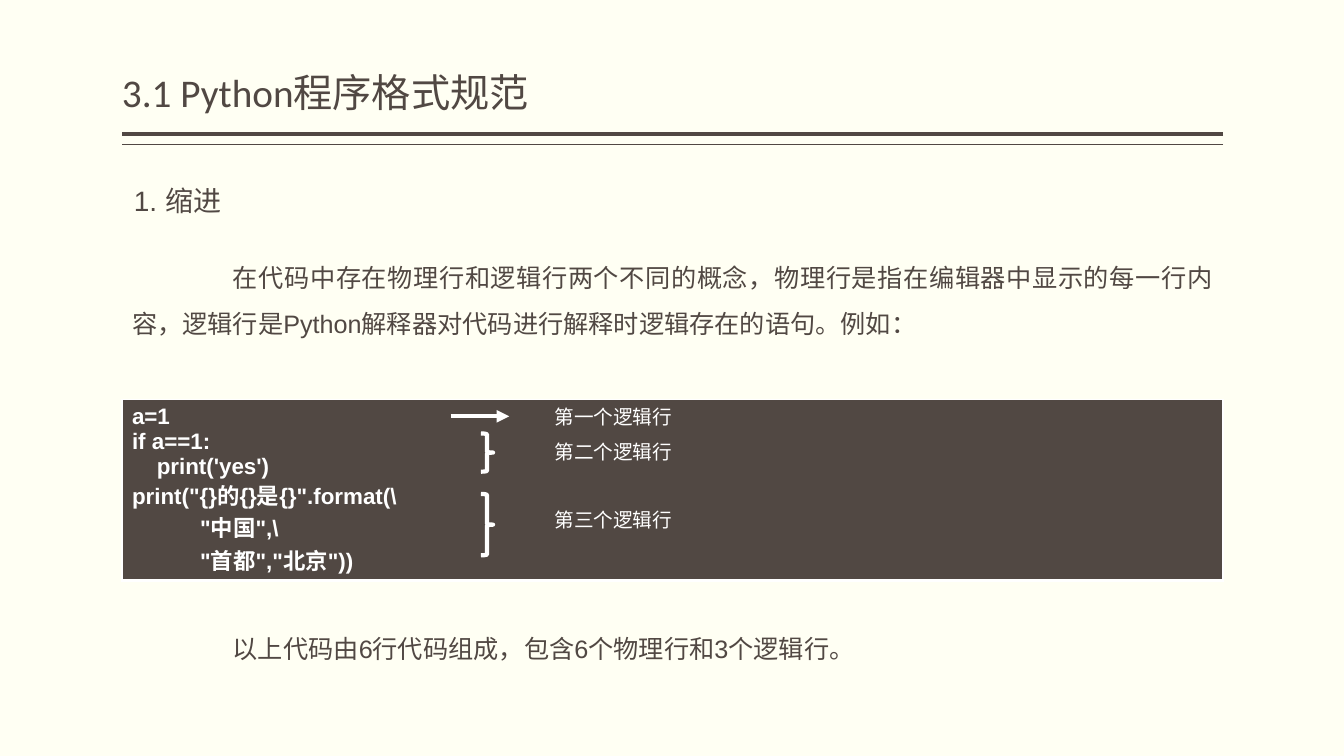
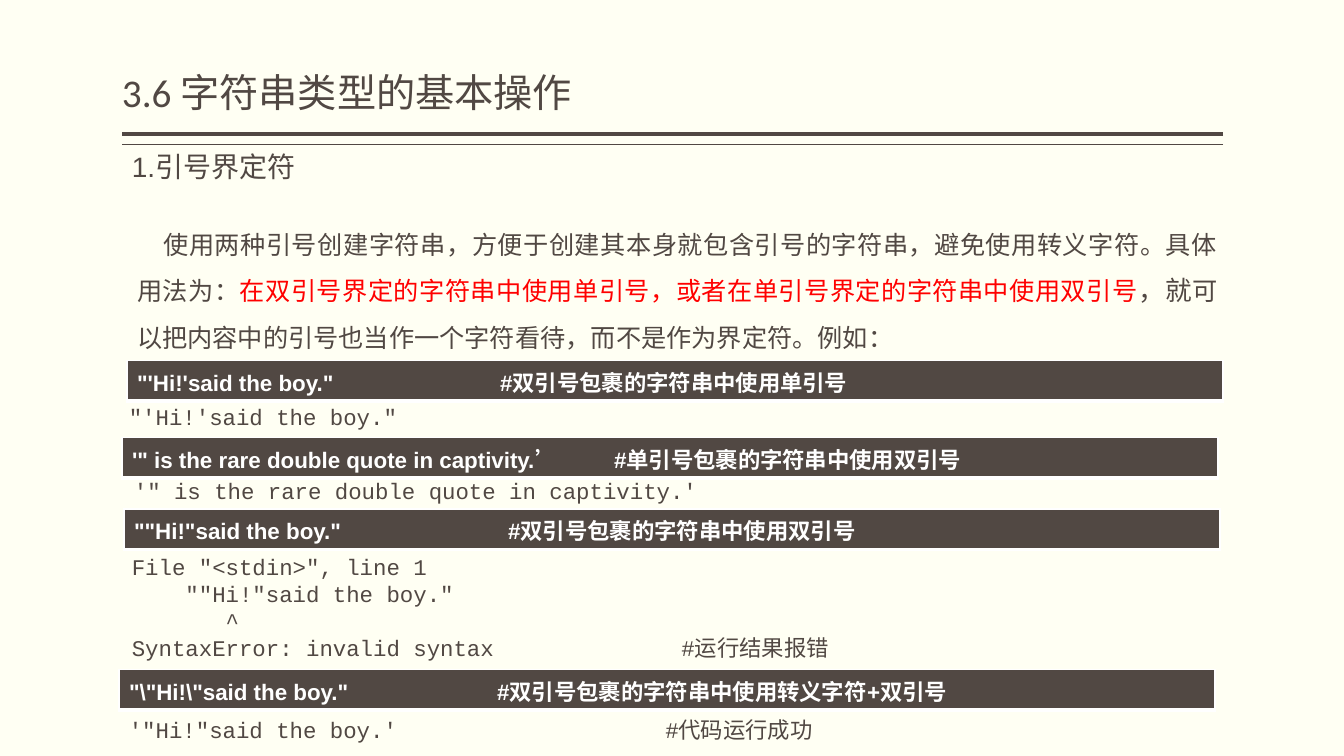
from lxml.etree import SubElement
from pptx import Presentation
from pptx.dml.color import RGBColor
from pptx.enum.shapes import MSO_CONNECTOR, MSO_SHAPE
from pptx.enum.text import MSO_ANCHOR, MSO_AUTO_SIZE, PP_ALIGN
from pptx.oxml.ns import qn
from pptx.util import Inches, Pt

BROWN = RGBColor(0x51, 0x48, 0x43)
CREAM = RGBColor(0xFF, 0xFF, 0xF3)
WHITE = RGBColor(0xFF, 0xFF, 0xFF)
RED = RGBColor(0xFF, 0x00, 0x00)
CJK = "Noto Sans CJK SC"
LEFT, WIDTH = 1.21, 10.92

# Format values: run formats, then paragraph formats
TITLE = {"size": Pt(28), "name": "Calibri", "color": BROWN}
HEADING = {"size": Pt(20), "name": "Arial", "color": BROWN}
PROSE = {"size": Pt(18), "name": "Arial", "color": BROWN}
CODE = {"size": Pt(16), "name": "Arial", "color": WHITE, "bold": True}
OUTPUT = {"size": Pt(16), "name": "Courier New", "color": BROWN}
LABEL = {"size": Pt(14), "name": CJK, "color": WHITE}
TITLE_LINE = {"alignment": PP_ALIGN.LEFT, "line_spacing": 0.9}
PROSE_LINE = {"alignment": PP_ALIGN.JUSTIFY, "line_spacing": Pt(33),
              "space_before": Pt(0)}


def write(frame, lines, run_format, line_format=None, indent=None, tab=None):
    """Fill a frame; a line is a string or a list of (text, changes) runs."""
    frame.word_wrap = True
    for number, line in enumerate(lines):
        paragraph = frame.add_paragraph() if number else frame.paragraphs[0]
        properties = paragraph._p.get_or_add_pPr()
        if indent is not None:
            properties.set("marL", "0")
            properties.set("indent", str(Inches(indent)))
            SubElement(properties, qn("a:buNone"))
        if tab is not None:
            stops = SubElement(properties, qn("a:tabLst"))
            SubElement(stops, qn("a:tab"), pos=str(Inches(tab)), algn="l")
        for key, value in (line_format or {}).items():
            setattr(paragraph, key, value)
        for text, changes in [(line, {})] if isinstance(line, str) else line:
            run = paragraph.add_run()
            run.text = text
            for key, value in {**run_format, **changes}.items():
                if key == "color":
                    run.font.color.rgb = value
                else:
                    setattr(run.font, key, value)
            SubElement(run._r.get_or_add_rPr(), qn("a:ea"), typeface=CJK)


def add_code(slide, left, top, width, height, lines, tab=None):
    """Add a dark one-cell table with white code."""
    table = slide.shapes.add_table(1, 1, Inches(left), Inches(top),
                                   Inches(width), Inches(height)).table
    table.first_row = table.horz_banding = False
    cell = table.cell(0, 0)
    cell.margin_bottom = 0
    write(cell.text_frame, lines, CODE, tab=tab)
    borders = cell._tc.get_or_add_tcPr()
    for side, points in (("L", 1), ("R", 1), ("T", 1), ("B", 3)):
        border = SubElement(borders, qn(f"a:ln{side}"), w=str(Pt(points)))
        border_fill = SubElement(border, qn("a:solidFill"))
        SubElement(border_fill, qn("a:srgbClr"), val=str(WHITE))
    cell.fill.solid()
    cell.fill.fore_color.rgb = BROWN


prs = Presentation()
prs.slide_width, prs.slide_height = Inches(13.33), Inches(7.5)

# Shared master: background and title place
master = prs.slide_master
master.background.fill.solid()
master.background.fill.fore_color.rgb = CREAM
master_title = master.placeholders[0]
for key, value in {"left": LEFT, "top": 0.58, "width": WIDTH, "height": 0.62}.items():
    setattr(master_title, key, Inches(value))
for key, value in {"margin_left": 0, "margin_right": 0,
                   "vertical_anchor": MSO_ANCHOR.BOTTOM,
                   "auto_size": MSO_AUTO_SIZE.NONE}.items():
    setattr(master_title.text_frame, key, value)

# Title, heading and main paragraph of each slide
contents = [
    ("3.1 Python程序格式规范", "1. 缩进", (1.23, 1.77), (1.21, 2.39, 1.19), 1.0,
     ["在代码中存在物理行和逻辑行两个不同的概念，物理行是指在编辑器中显示的每一行内容，"
      "逻辑行是Python解释器对代码进行解释时逻辑存在的语句。例如："]),
    ("3.6 字符串类型的基本操作", "1.引号界定符", (1.21, 1.43), (1.26, 2.07, 1.53), 0.26,
     [[("使用两种引号创建字符串，方便于创建其本身就包含引号的字符串，避免使用转义字符。"
        "具体用法为：", {}),
       ("在双引号界定的字符串中使用单引号，或者在单引号界定的字符串中使用双引号",
        {"color": RED}),
       ("，就", {"size": Pt(19), "name": CJK}),
       ("可以把内容中的引号也当作一个字符看待，而不是作为界定符。例如：", {})]]),
]
slides = []
for title, heading, heading_at, (left, top, height), indent, lines in contents:
    slide = prs.slides.add_slide(prs.slide_layouts[1])
    slides.append(slide)
    write(slide.shapes.title.text_frame, [title], TITLE, TITLE_LINE)
    heading_box = slide.shapes.add_textbox(*map(Inches, heading_at),
                                           Inches(3.06), Inches(0.62))
    write(heading_box.text_frame, [heading], HEADING)
    body = slide.placeholders[1]
    body.left, body.top = Inches(left), Inches(top)
    body.width, body.height = Inches(WIDTH), Inches(height)
    body.text_frame.auto_size = MSO_AUTO_SIZE.NONE
    write(body.text_frame, lines, PROSE, PROSE_LINE, indent)
format_slide, quote_slide = slides

# Double rule under the title, kept on the master
for y, points in ((1.33, 3), (1.43, 0.75)):
    rule = format_slide.shapes.add_connector(
        MSO_CONNECTOR.STRAIGHT, Inches(LEFT + WIDTH), Inches(y), Inches(LEFT), Inches(y))
    rule.line.color.rgb = BROWN
    rule.line.width = Pt(points)
    SubElement(rule._element.spPr, qn("a:effectLst"))
    master.shapes._spTree.append(rule._element)

# Slide 1: code and its logical lines
add_code(format_slide, LEFT, 3.96, WIDTH, 1.8, [
    "a=1",
    "if a==1:",
    "    print('yes')",
    'print("{}的{}是{}".format(\\',
    '           "中国",\\',
    '           "首都","北京"))',
])
summary = format_slide.shapes.add_textbox(Inches(LEFT), Inches(6.08),
                                          Inches(WIDTH), Inches(1.19))
write(summary.text_frame, ["以上代码由6行代码组成，包含6个物理行和3个逻辑行。"],
      PROSE, PROSE_LINE, 1.0)

for top, height in ((4.3, 0.38), (4.9, 0.61)):
    brace = format_slide.shapes.add_shape(MSO_SHAPE.RIGHT_BRACE, Inches(4.77), Inches(top),
                                          Inches(0.12), Inches(height))
    brace.shadow.inherit = False
    brace.fill.background()
    brace.line.color.rgb = WHITE
    brace.line.width = Pt(3)

arrow = format_slide.shapes.add_connector(MSO_CONNECTOR.STRAIGHT, Inches(4.47), Inches(4.13),
                                          Inches(5.05), Inches(4.13))
arrow.line.color.rgb = WHITE
arrow.line.width = Pt(3)
SubElement(arrow.line._get_or_add_ln(), qn("a:tailEnd"), type="triangle")
SubElement(arrow._element.spPr, qn("a:effectLst"))

for ordinal, top in (("一", 3.97), ("二", 4.32), ("三", 4.99)):
    label = format_slide.shapes.add_textbox(Inches(5.4), Inches(top),
                                            Inches(1.38), Inches(0.34))
    write(label.text_frame, [f"第{ordinal}个逻辑行"], LABEL)
    label.text_frame.word_wrap = False

# Slide 2: statements with their comments, then the results
statements = [
    (1.26, 3.58, 3.6, "\"'Hi!'said the boy.\"\t#双引号包裹的字符串中使用单引号"),
    (1.21, 4.34, 4.78,
     "'\" is the rare double quote in captivity.’\t#单引号包裹的字符串中使用双引号"),
    (1.23, 5.05, 3.71, '""Hi!"said the boy."\t#双引号包裹的字符串中使用双引号'),
    (1.18, 6.64, 3.65,
     '"\\"Hi!\\"said the boy."\t#双引号包裹的字符串中使用转义字符+双引号'),
]
for left, top, tab, statement in statements:
    add_code(quote_slide, left, top, 10.87, 0.4, [statement], tab)

results = [
    (1.18, 3.95, 0.37, None, ["\"'Hi!'said the boy.\""]),
    (1.23, 4.68, 0.37, None, ["'\" is the rare double quote in captivity.'"]),
    (1.21, 5.44, 1.18, 5.45, [
        'File "<stdin>", line 1',
        '    ""Hi!"said the boy."',
        "       ^",
        "SyntaxError: invalid syntax\t#运行结果报错",
    ]),
    (1.18, 7.06, 0.37, 5.32, ["'\"Hi!\"said the boy.'\t#代码运行成功"]),
]
for left, top, height, tab, lines in results:
    result = quote_slide.shapes.add_textbox(Inches(left), Inches(top),
                                            Inches(10.87), Inches(height))
    write(result.text_frame, lines, OUTPUT, tab=tab)

prs.save("out.pptx")
